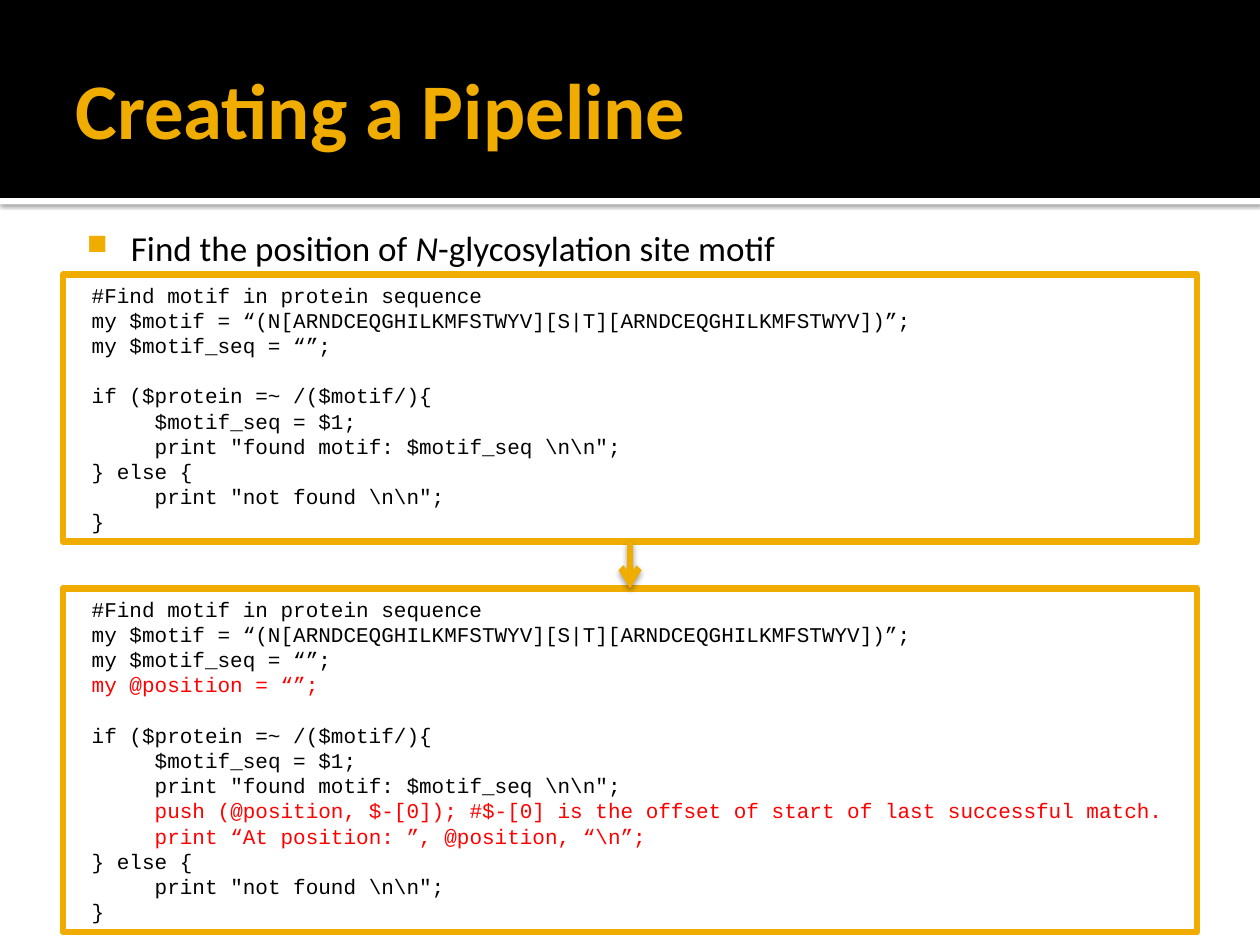
from collections import namedtuple

from lxml import etree
from pptx import Presentation
from pptx.dml.color import RGBColor
from pptx.enum.shapes import MSO_CONNECTOR, MSO_SHAPE
from pptx.enum.text import MSO_ANCHOR, PP_ALIGN
from pptx.oxml.ns import qn
from pptx.util import Cm, Pt

RECTANGLE = MSO_SHAPE.RECTANGLE
STRAIGHT = MSO_CONNECTOR.STRAIGHT
TOP, MIDDLE = MSO_ANCHOR.TOP, MSO_ANCHOR.MIDDLE
LEFT = PP_ALIGN.LEFT

GOLD = RGBColor(0xF0, 0xAD, 0x00)
BLACK = RGBColor(0x00, 0x00, 0x00)
WHITE = RGBColor(0xFF, 0xFF, 0xFF)
RED = RGBColor(0xFF, 0x00, 0x00)

BODY_FONT = "Calibri"
CODE_FONT = "Courier New"
BORDER = Pt(3.78)
CODE_LEADING = Pt(14.4)
CODE_MARGIN = 0.33
CODE_STEP = 1.27

Box = namedtuple("Box", "left top width height")
Line = namedtuple("Line", "text level color", defaults=(0, BLACK))

PAGE = Box(0, 0, 25.4, 19.05)
HEADER = Box(0, 0, 25.4, 4.12)
BULLET = Box(1.27, 4.32, 22.86, 1.22)
FIRST_CODE = Box(1.27, 5.54, 22.86, 5.38)
SECOND_CODE = Box(1.27, 11.86, 22.86, 6.93)

OPENING = [
    Line("#Find motif in protein sequence"),
    Line("my $motif = “(N[ARNDCEQGHILKMFSTWYV][S|T][ARNDCEQGHILKMFSTWYV])”;"),
    Line("my $motif_seq = “”;"),
]
POSITION = [Line("my @position = “”;", color=RED)]
MATCH = [
    Line("if ($protein =~ /($motif/){"),
    Line("$motif_seq = $1;", 1),
    Line('print "found motif: $motif_seq \\n\\n";', 1),
]
OFFSET = [
    Line("push (@position, $-[0]); #$-[0] is the offset of start of last successful match.", 1, RED),
    Line("print “At position: ”, @position, “\\n”;", 1, RED),
]
OTHERWISE = [
    Line("} else {"),
    Line('print "not found \\n\\n";', 1),
    Line("}"),
]


def lengths(box):
    return [Cm(value) for value in box]


def add_text(para, text, font=BODY_FONT, size=20, color=BLACK, bold=False, italic=False):
    span = para.add_run()
    span.text = text
    span.font.name = font
    span.font.size = Pt(size)
    span.font.color.rgb = color
    span.font.bold = bold
    span.font.italic = italic


def add_text_frame(page, box, anchor, insets):
    frame = page.shapes.add_textbox(*lengths(box)).text_frame
    frame.word_wrap = True
    frame.vertical_anchor = anchor
    frame.margin_left, frame.margin_top, frame.margin_right, frame.margin_bottom = [
        Cm(inset) for inset in insets
    ]
    return frame


def add_rectangle(page, box, fill, line=None):
    shape = page.shapes.add_shape(RECTANGLE, *lengths(box))
    shape.shadow.inherit = False
    shape.fill.solid()
    shape.fill.fore_color.rgb = fill
    if line is None:
        shape.line.fill.background()
    else:
        shape.line.color.rgb = line
        shape.line.width = BORDER
    return shape


def set_shadow(properties, blur, distance, opacity):
    effects = properties.find(qn("a:effectLst"))
    if effects is None:
        effects = etree.SubElement(properties, qn("a:effectLst"))
    shadow = etree.SubElement(
        effects, qn("a:outerShdw"), blurRad=str(Pt(blur)), dist=str(Pt(distance)),
        dir="5400000", algn="t", rotWithShape="0",
    )
    color = etree.SubElement(shadow, qn("a:srgbClr"), val=str(BLACK))
    etree.SubElement(color, qn("a:alpha"), val=str(opacity * 1000))


def add_header(page, box, title):
    band_height = box.height - 0.13
    strip = add_rectangle(page, Box(box.left, box.top + band_height, box.width, 0.13), WHITE)
    set_shadow(strip._element.spPr, 2.5, 0.8, 60)
    add_rectangle(page, box._replace(height=band_height), BLACK)
    title_box = Box(box.left + 1.27, box.top + 0.43, box.width - 2.54, 3.48)
    frame = add_text_frame(page, title_box, MIDDLE, (0.25, 0.13, 0.13, 0.13))
    add_text(frame.paragraphs[0], title, size=45, color=GOLD, bold=True)


def add_bullet(page, box):
    frame = add_text_frame(page, box, TOP, (0.15, 0.25, 0.25, 0.13))
    para = frame.paragraphs[0]
    properties = para._p.get_or_add_pPr()
    properties.set("marL", str(Cm(1.22)))
    properties.set("indent", str(Cm(-0.89)))
    color = etree.SubElement(properties, qn("a:buClr"))
    etree.SubElement(color, qn("a:srgbClr"), val=str(GOLD))
    etree.SubElement(properties, qn("a:buSzPct"), val="80000")
    etree.SubElement(properties, qn("a:buChar"), char="■")
    add_text(para, "Find the position of")
    add_text(para, " N", italic=True)
    add_text(para, "-glycosylation site motif")


def add_code(page, box, blocks):
    shape = add_rectangle(page, box, WHITE, GOLD)
    frame = shape.text_frame
    frame.word_wrap = True
    frame.vertical_anchor = MIDDLE
    para = None
    for block in blocks:
        for index, line in enumerate(block):
            starts_block = para is not None and index == 0
            para = frame.paragraphs[0] if para is None else frame.add_paragraph()
            para.alignment = LEFT
            para.line_spacing = CODE_LEADING
            para.space_before = CODE_LEADING if starts_block else Pt(0)
            margin = Cm(CODE_MARGIN + CODE_STEP * line.level)
            para._p.get_or_add_pPr().set("marL", str(margin))
            add_text(para, line.text, font=CODE_FONT, size=12, color=line.color)
    return shape


def add_arrow(page, upper, lower):
    arrow = page.shapes.add_connector(STRAIGHT, 0, 0, 0, 0)
    arrow.begin_connect(upper, 2)
    arrow.end_connect(lower, 0)
    arrow.line.color.rgb = GOLD
    arrow.line.width = BORDER
    etree.SubElement(arrow.line._get_or_add_ln(), qn("a:tailEnd"), type="arrow")
    set_shadow(arrow._element.spPr, 3.5, 2, 38)


def main():
    deck = Presentation()
    deck.slide_width, deck.slide_height = Cm(PAGE.width), Cm(PAGE.height)
    page = deck.slides.add_slide(deck.slide_layouts[6])
    add_header(page, HEADER, "Creating a Pipeline")
    add_bullet(page, BULLET)
    first = add_code(page, FIRST_CODE, [OPENING, MATCH + OTHERWISE])
    second = add_code(page, SECOND_CODE, [OPENING + POSITION, MATCH + OFFSET + OTHERWISE])
    add_arrow(page, first, second)
    deck.save("out.pptx")


if __name__ == "__main__":
    main()
